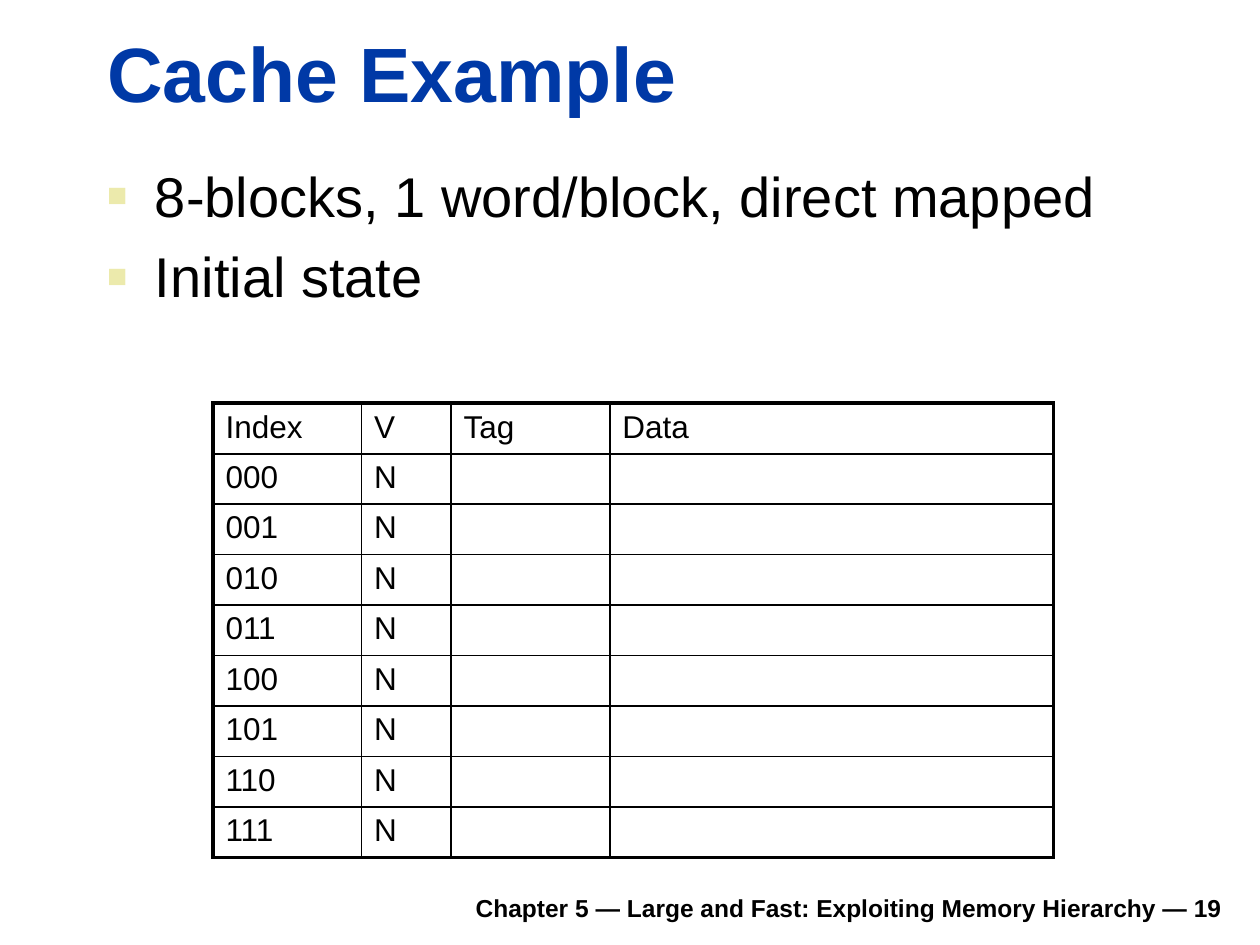
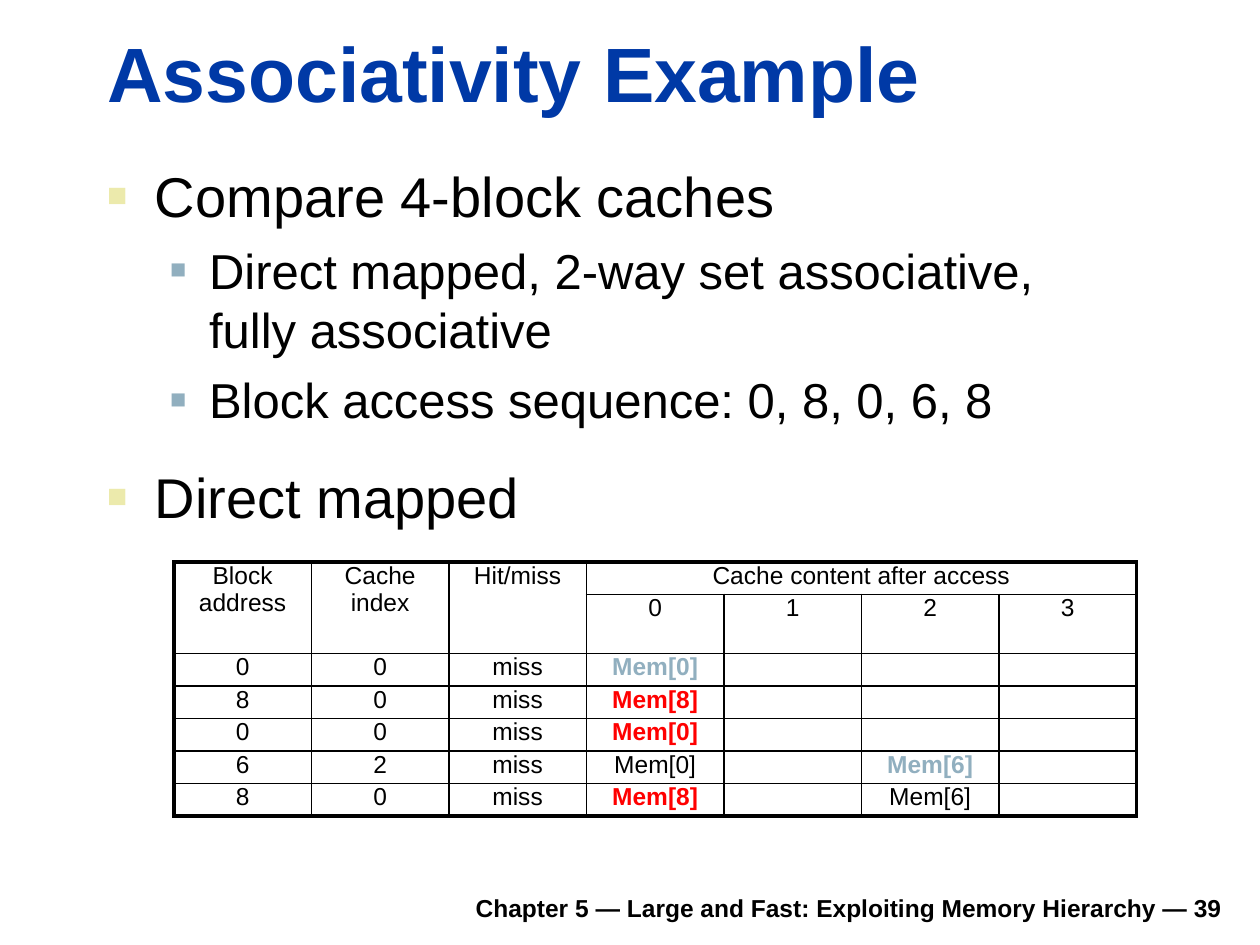
"""Builds two cache example slides, each with a list and a state table."""
from dataclasses import dataclass, field
from typing import Any

import pptx
import pptx.dml.color
import pptx.enum.text
import pptx.oxml.ns
import pptx.util
from lxml import etree

RGB = pptx.dml.color.RGBColor
ALIGN = pptx.enum.text.PP_ALIGN
ANCHOR = pptx.enum.text.MSO_ANCHOR
FIT = pptx.enum.text.MSO_AUTO_SIZE
Pt = pptx.util.Pt
Inches = pptx.util.Inches

BLACK = RGB(0x00, 0x00, 0x00)
TITLE_BLUE = RGB(0x00, 0x39, 0xA6)
PALE_YELLOW = RGB(0xEC, 0xEA, 0xAC)
STEEL = RGB(0x91, 0xAF, 0xBF)
RED = RGB(0xFF, 0x00, 0x00)

FONT = "Arial"
FOOTER = "Chapter 5 — Large and Fast: Exploiting Memory Hierarchy — "
SLIDE_WIDTH, SLIDE_HEIGHT = Inches(10), Inches(7.5)
COLUMN, ROW = SLIDE_WIDTH / 100, SLIDE_HEIGHT / 75
OUTER, HEADER, INNER = 2.25, 1.5, 1
LINE_HEIGHT = 1.2


@dataclass(frozen=True)
class Area:
    """A rectangle in grid columns and rows."""
    left: float
    top: float
    width: float
    height: float

    def box(self) -> dict[str, int]:
        return {"left": round(self.left * COLUMN), "top": round(self.top * ROW),
                "width": round(self.width * COLUMN), "height": round(self.height * ROW)}


@dataclass(frozen=True)
class Level:
    """The look of one list level."""
    size: int
    margin: float
    hanging: float
    bullet_color: RGB
    bullet_share: int


@dataclass(frozen=True)
class Point:
    """A list entry, with the gap above it as a share of its line."""
    text: str
    level: int = 0
    gap: float = 0.2


@dataclass(frozen=True)
class StateTable:
    """A bordered table of cache contents."""
    area: Area
    columns: list[float]
    rows: list[list[str]]
    size: int
    align: Any
    padding: float
    header_line: float = INNER
    merges: list[tuple[int, int, int, int]] = field(default_factory=list)
    highlights: dict[tuple[int, int], RGB] = field(default_factory=dict)


@dataclass(frozen=True)
class Page:
    """The content of one slide."""
    number: int
    title: str
    points: list[Point]
    points_height: float
    table: StateTable


LEVELS = [Level(32, 0.38, 0.38, PALE_YELLOW, 60), Level(28, 0.81, 0.31, STEEL, 55)]
TITLE_AREA = Area(7.5, 1.6, 90.3, 8.3)
FOOTER_AREA = Area(18.5, 69.8, 79.5, 3.9)

PAGES = [
    Page(19, "Cache Example",
         [Point("8-blocks, 1 word/block, direct mapped"), Point("Initial state")], 14.6,
         StateTable(Area(16.9, 32, 66.7, 36), [11.8, 7.1, 12.6, 35.2],
                    [["Index", "V", "Tag", "Data"],
                     *([f"{index:03b}", "N", "", ""] for index in range(8))],
                    18, ALIGN.LEFT, 0.05, HEADER)),
    Page(39, "Associativity Example",
         [Point("Compare 4-block caches"),
          Point("Direct mapped, 2-way set associative,\vfully associative", 1),
          Point("Block access sequence: 0, 8, 0, 6, 8", 1),
          Point("Direct mapped", 0, 0.5)], 30.7,
         StateTable(Area(13.8, 44.6, 76.4, 18.1), [76.4 / 7] * 7,
                    [["Block address", "Cache index", "Hit/miss",
                      "Cache content after access", "", "", ""],
                     ["", "", "", "0", "1", "2", "3"],
                     ["0", "0", "miss", "Mem[0]", "", "", ""],
                     ["8", "0", "miss", "Mem[8]", "", "", ""],
                     ["0", "0", "miss", "Mem[0]", "", "", ""],
                     ["6", "2", "miss", "Mem[0]", "", "Mem[6]", ""],
                     ["8", "0", "miss", "Mem[8]", "", "Mem[6]", ""]],
                    14, ALIGN.CENTER, 0,
                    merges=[(0, 0, 1, 0), (0, 1, 1, 1), (0, 2, 1, 2), (0, 3, 0, 6)],
                    highlights={(2, 3): STEEL, (3, 3): RED, (4, 3): RED,
                                (5, 5): STEEL, (6, 3): RED})),
]


def assign(target: Any, values: dict[str, Any]) -> None:
    for name, value in values.items():
        setattr(target, name, value)


def add_element(parent: Any, tag: str, **attributes: Any) -> Any:
    element = etree.SubElement(parent, pptx.oxml.ns.qn(tag))
    for name, value in attributes.items():
        element.set(name, str(value))
    return element


def write(paragraph: Any, text: str, size: int, color: RGB = BLACK, bold: bool = False) -> None:
    paragraph.text = text
    for run in paragraph.runs:
        assign(run.font, {"name": FONT, "size": Pt(size), "bold": bold})
        run.font.color.rgb = color


def set_bullet(paragraph: Any, level: Level) -> None:
    properties = paragraph._p.get_or_add_pPr()
    properties.set("marL", str(Inches(level.margin)))
    properties.set("indent", str(-Inches(level.hanging)))
    add_element(add_element(properties, "a:buClr"), "a:srgbClr", val=level.bullet_color)
    add_element(properties, "a:buSzPct", val=level.bullet_share * 1000)
    add_element(properties, "a:buFont", typeface=FONT)
    add_element(properties, "a:buChar", char="■")


def set_borders(cell: Any, widths: dict[str, float]) -> None:
    properties = cell._tc.get_or_add_tcPr()
    for position, (side, width) in enumerate(widths.items()):
        line = add_element(properties, f"a:ln{side}", w=Pt(width))
        add_element(add_element(line, "a:solidFill"), "a:srgbClr", val=BLACK)
        properties.insert(position, line)


def add_title(slide: Any, text: str) -> None:
    title = slide.shapes.title
    assign(title, TITLE_AREA.box())
    assign(title.text_frame, {"vertical_anchor": ANCHOR.BOTTOM, "word_wrap": True,
                              "auto_size": FIT.SHAPE_TO_FIT_TEXT})
    heading = title.text_frame.paragraphs[0]
    write(heading, text, 44, TITLE_BLUE, True)
    heading.alignment = ALIGN.LEFT


def add_points(slide: Any, points: list[Point], height: float) -> None:
    body = slide.placeholders[1]
    assign(body, Area(7.5, 12.3, 90.5, height).box())
    frame = body.text_frame
    assign(frame, {"vertical_anchor": ANCHOR.TOP, "word_wrap": True, "auto_size": FIT.NONE})
    for order, point in enumerate(points):
        paragraph = frame.add_paragraph() if order else frame.paragraphs[0]
        level = LEVELS[point.level]
        write(paragraph, point.text, level.size)
        assign(paragraph, {"level": point.level,
                           "space_before": Pt(level.size * LINE_HEIGHT * point.gap)})
        set_bullet(paragraph, level)


def add_footer(slide: Any, number: int) -> None:
    frame = slide.shapes.add_textbox(**FOOTER_AREA.box()).text_frame
    assign(frame, {"vertical_anchor": ANCHOR.BOTTOM, "word_wrap": True})
    write(frame.paragraphs[0], f"{FOOTER}{number}", 14, bold=True)
    frame.paragraphs[0].alignment = ALIGN.RIGHT


def add_state_table(slide: Any, state: StateTable) -> None:
    row_count, column_count = len(state.rows), len(state.columns)
    table = slide.shapes.add_table(row_count, column_count, **state.area.box()).table
    assign(table, {"first_row": False, "horz_banding": False})
    for column, width in zip(table.columns, state.columns):
        column.width = round(width * COLUMN)
    for row in table.rows:
        row.height = round(state.area.height * ROW / row_count)
    for top, left, bottom, right in state.merges:
        table.cell(top, left).merge(table.cell(bottom, right))
    for r, entries in enumerate(state.rows):
        for c, entry in enumerate(entries):
            cell = table.cell(r, c)
            assign(cell, {"margin_left": Inches(0.1), "margin_right": Inches(0.1),
                          "margin_top": Inches(state.padding),
                          "margin_bottom": Inches(state.padding),
                          "vertical_anchor": ANCHOR.TOP})
            paragraph = cell.text_frame.paragraphs[0]
            color = state.highlights.get((r, c), BLACK)
            write(paragraph, entry, state.size, color, (r, c) in state.highlights)
            paragraph.alignment = state.align
            if not entry:
                add_element(paragraph._p, "a:endParaRPr", sz=state.size * 100)
            cell.fill.background()
            last_row = r + cell.span_height == row_count
            last_column = c + cell.span_width == column_count
            above = {0: OUTER, 1: state.header_line}.get(r, INNER)
            below = OUTER if last_row else state.header_line if r == 0 else INNER
            set_borders(cell, {"L": INNER if c else OUTER,
                               "R": OUTER if last_column else INNER,
                               "T": above, "B": below})


def main() -> None:
    deck = pptx.Presentation()
    assign(deck, {"slide_width": SLIDE_WIDTH, "slide_height": SLIDE_HEIGHT})
    for page in PAGES:
        slide = deck.slides.add_slide(deck.slide_layouts[1])
        add_footer(slide, page.number)
        add_title(slide, page.title)
        add_points(slide, page.points, page.points_height)
        add_state_table(slide, page.table)
    deck.save("out.pptx")


main()
